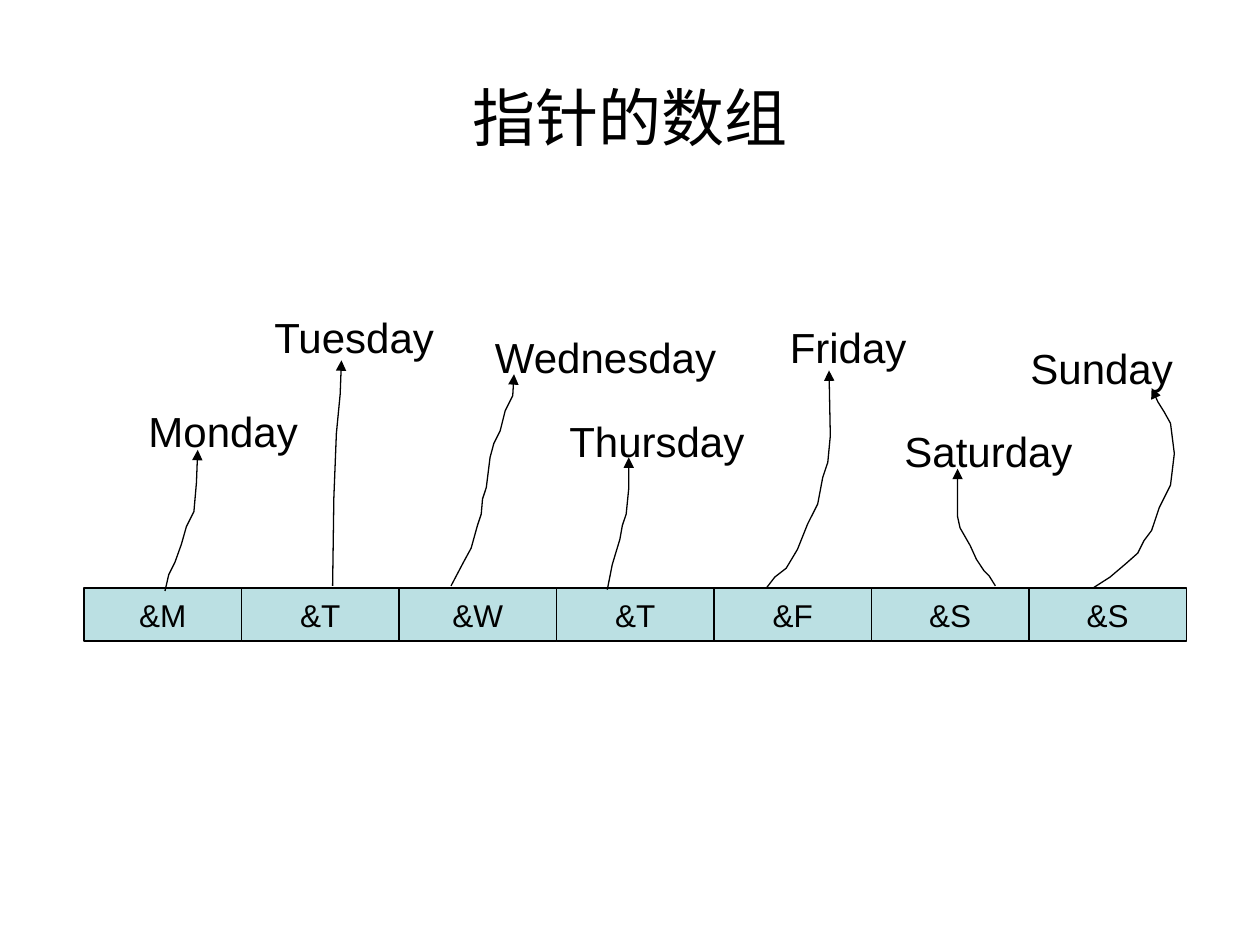
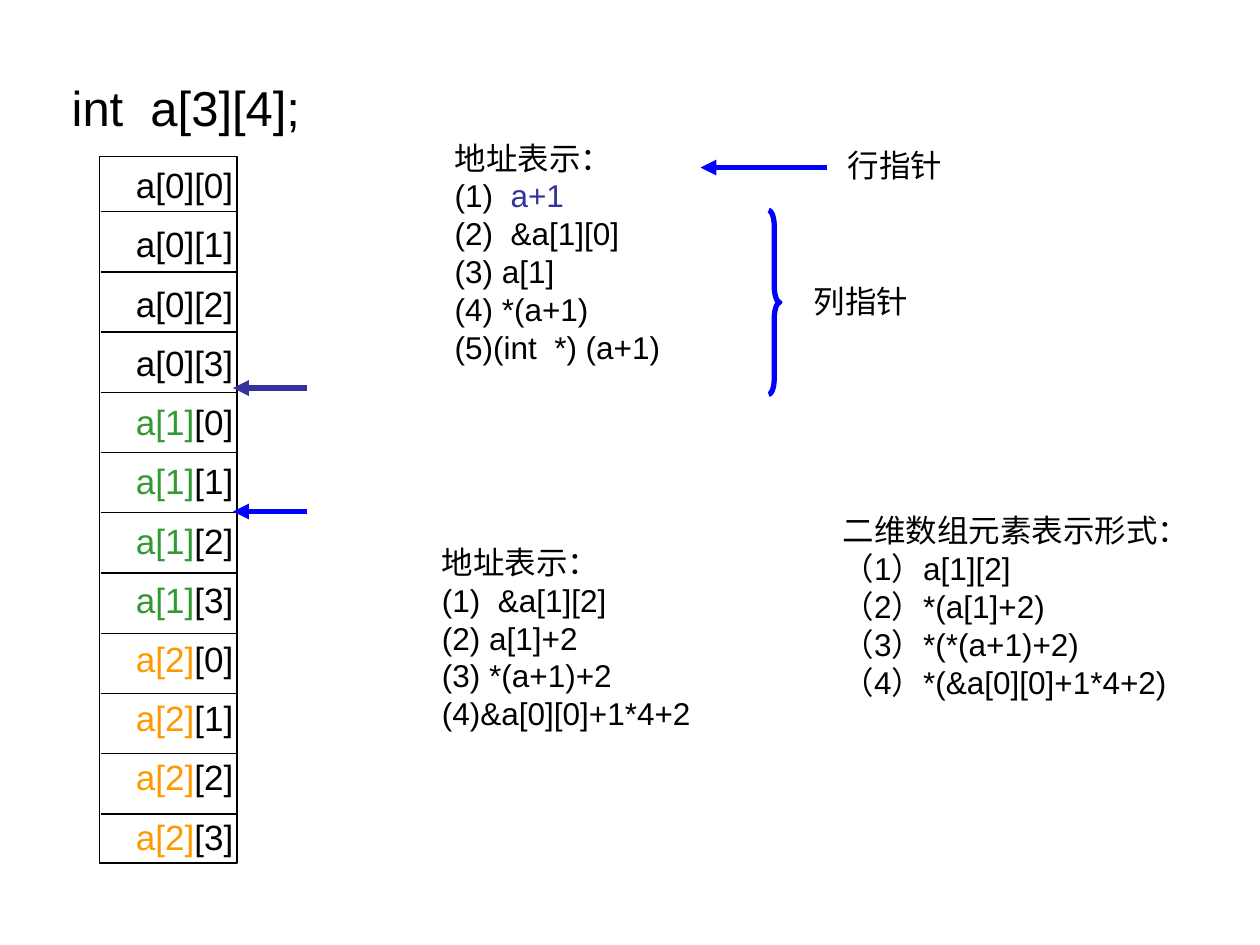
from dataclasses import dataclass

from pptx import Presentation
from pptx.dml.color import RGBColor
from pptx.enum import shapes, text
from pptx.oxml.ns import qn
from pptx.util import Inches, Pt


@dataclass(frozen=True)
class Theme:
    font: str = "Arial"
    black: str = "000000"
    cell: str = "BBE0E3"
    indigo: str = "333399"
    blue: str = "0000FF"
    green: str = "339933"
    orange: str = "FF9900"
    title: int = 36
    declaration: int = 28
    day: int = 24
    element: int = 20
    body: int = 18
    thin: float = 0.75
    thick: float = 3


THEME = Theme()

# pointer text, day, label position, points of the arrow from cell to label
DAYS = [
    ("&M", "Monday", (1.08, 3.17, 1.5),
     [(1.31, 4.69), (1.34, 4.56), (1.39, 4.46), (1.44, 4.32), (1.48, 4.18),
      (1.54, 4.06), (1.56, 3.83), (1.57, 3.57)]),
    ("&T", "Tuesday", (2.08, 2.42, 1.5),
     [(2.64, 4.65), (2.65, 3.95), (2.67, 3.44), (2.7, 3.13), (2.71, 2.86)]),
    ("&W", "Wednesday", (3.83, 2.58, 2.08),
     [(3.58, 4.65), (3.68, 4.46), (3.74, 4.35), (3.79, 4.17), (3.82, 4.08),
      (3.83, 3.96), (3.86, 3.87), (3.89, 3.63), (3.92, 3.52), (3.97, 3.42),
      (4.01, 3.26), (4.07, 3.14), (4.08, 2.97)]),
    ("&T", "Thursday", (4.42, 3.25, 1.83),
     [(4.82, 4.68), (4.86, 4.48), (4.92, 4.28), (4.94, 4.17), (4.97, 4.08),
      (4.99, 3.88), (4.99, 3.63)]),
    ("&F", "Friday", (6.17, 2.5, 1.5),
     [(6.08, 4.67), (6.15, 4.58), (6.24, 4.51), (6.33, 4.36), (6.41, 4.16),
      (6.49, 4.0), (6.53, 3.79), (6.57, 3.67), (6.59, 3.46), (6.58, 2.94)]),
    ("&S", "Saturday", (7.08, 3.33, 1.83),
     [(7.9, 4.65), (7.85, 4.57), (7.81, 4.53), (7.75, 4.44), (7.7, 4.33),
      (7.62, 4.19), (7.6, 4.1), (7.6, 3.72)]),
    ("&S", "Sunday", (8.08, 2.67, 1.5),
     [(8.67, 4.67), (8.81, 4.58), (8.94, 4.47), (9.03, 4.39), (9.08, 4.29),
      (9.14, 4.21), (9.2, 4.03), (9.29, 3.85), (9.32, 3.6), (9.29, 3.36),
      (9.24, 3.27), (9.19, 3.19), (9.14, 3.08)]),
]


def write(shape, paragraphs, size=THEME.body, align=text.PP_ALIGN.LEFT,
          anchor=text.MSO_ANCHOR.TOP, wrap=False, before=0):
    """Fill a shape; a paragraph is a string or a list of (words, colour)."""
    frame = shape.text_frame
    frame.word_wrap = wrap
    frame.vertical_anchor = anchor
    for index, content in enumerate(paragraphs):
        para = frame.add_paragraph() if index else frame.paragraphs[0]
        para.alignment = align
        para.space_before = Pt(before)
        spans = [(content, THEME.black)] if isinstance(content, str) else content
        for words, colour in spans:
            span = para.add_run()
            span.text = words
            span.font.name = THEME.font
            span.font.size = Pt(size)
            span.font.color.rgb = RGBColor.from_string(colour)


def add_text(page, place, *paragraphs, grow=True, **style):
    box = page.shapes.add_textbox(*map(Inches, place))
    write(box, paragraphs, **style)
    if grow:
        box.text_frame.auto_size = text.MSO_AUTO_SIZE.SHAPE_TO_FIT_TEXT


def draw_line(shape, colour=THEME.black, width=THEME.thin, arrow=False):
    shape.line.color.rgb = RGBColor.from_string(colour)
    shape.line.width = Pt(width)
    if arrow:
        outline = shape.line._get_or_add_ln()
        tail = outline.makeelement(qn("a:tailEnd"), {"type": "triangle"})
        outline.append(tail)


def add_preset(page, kind, place, fill=None, **line):
    shape = page.shapes.add_shape(kind, *map(Inches, place))
    shape.shadow.inherit = False
    if fill:
        shape.fill.solid()
        shape.fill.fore_color.rgb = RGBColor.from_string(fill)
    else:
        shape.fill.background()
    draw_line(shape, **line)
    return shape


def add_straight(page, start, end, **line):
    connector = page.shapes.add_connector(
        shapes.MSO_CONNECTOR.STRAIGHT, *map(Inches, (*start, *end)))
    draw_line(connector, **line)
    properties = connector._element.spPr
    properties.append(properties.makeelement(qn("a:effectLst"), {}))


def add_curved_arrow(page, points):
    start, *rest = [(Inches(x), Inches(y)) for x, y in points]
    builder = page.shapes.build_freeform(*start)
    builder.add_line_segments(rest, close=False)
    curve = builder.convert_to_shape()
    curve.shadow.inherit = False
    curve.fill.background()
    draw_line(curve, arrow=True)


def build_pointer_array(page):
    add_text(page, (0.5, 0.3, 9, 1.25), "指针的数组", size=THEME.title,
             align=text.PP_ALIGN.CENTER, anchor=text.MSO_ANCHOR.MIDDLE,
             wrap=True, grow=False)
    array_left, array_top, cell_width = 2 / 3, 14 / 3, 1.25
    for index, (pointer, day, (left, top, width), points) in enumerate(DAYS):
        cell = add_preset(page, shapes.MSO_SHAPE.RECTANGLE,
                          (array_left + index * cell_width, array_top,
                           cell_width, 0.42), fill=THEME.cell)
        write(cell, [pointer], align=text.PP_ALIGN.CENTER,
              anchor=text.MSO_ANCHOR.MIDDLE)
        add_text(page, (left, top, width, 0.5), day, size=THEME.day,
                 wrap=True, before=15)
        add_curved_arrow(page, points)


def add_memory_column(page, rows=3, columns=4):
    add_preset(page, shapes.MSO_SHAPE.RECTANGLE, (0.79, 1.24, 1.09, 5.61))
    row_colours = (THEME.black, THEME.green, THEME.orange)
    first_rule, last_rule = 1.68, 6.46
    count = rows * columns
    rule_gap = (last_rule - first_rule) / (count - 2)
    for index in range(count):
        row, column = divmod(index, columns)
        add_text(page, (0.98, 1.25 + index * 0.47, 1.05, 0.44),
                 [(f"a[{row}]", row_colours[row]), (f"[{column}]", THEME.black)],
                 size=THEME.element)
        if index < count - 1:
            y = first_rule + index * rule_gap
            add_straight(page, (0.8, y), (1.89, y))


def build_address_forms(page):
    add_text(page, (0.47, 0.57, 2.05, 0.57), "int  a[3][4];",
             size=THEME.declaration)
    add_memory_column(page)

    for start, end, colour in [((2.44, 3.08), (1.85, 3.08), THEME.indigo),
                               ((2.44, 4.06), (1.85, 4.06), THEME.blue),
                               ((6.56, 1.33), (5.56, 1.33), THEME.blue)]:
        add_straight(page, start, end, colour=colour, width=THEME.thick,
                     arrow=True)
    brace = add_preset(page, shapes.MSO_SHAPE.RIGHT_BRACE,
                       (6.1, 1.67, 0.09, 1.46),
                       colour=THEME.blue, width=THEME.thick)
    brace.adjustments[0] = 1.4

    middle = text.MSO_ANCHOR.MIDDLE
    add_text(page, (3.51, 1.05, 1.9, 1.9), "地址表示：",
             [("(1)  ", THEME.black), ("a+1", THEME.indigo)],
             "(2)  &a[1][0]", "(3) a[1]", "(4) *(a+1)", "(5)(int  *) (a+1)",
             anchor=middle)
    add_text(page, (3.41, 4.26, 2.3, 1.6), "地址表示：", "(1)  &a[1][2]",
             "(2) a[1]+2", "(3) *(a+1)+2", "(4)&a[0][0]+1*4+2", anchor=middle)
    add_text(page, (6.59, 4.01, 3, 1.6), "二维数组元素表示形式：",
             "（1）a[1][2]", "（2）*(a[1]+2)", "（3）*(*(a+1)+2)",
             "（4）*(&a[0][0]+1*4+2)")
    for left, top, label in [(6.63, 1.11, "行指针"), (6.36, 2.19, "列指针")]:
        add_text(page, (left, top, 0.95, 0.4), label,
                 align=text.PP_ALIGN.CENTER, anchor=middle)


def main():
    deck = Presentation()
    deck.slide_width, deck.slide_height = Inches(10), Inches(7.5)
    blank = deck.slide_layouts[6]
    for build in (build_pointer_array, build_address_forms):
        build(deck.slides.add_slide(blank))
    deck.save("out.pptx")


if __name__ == "__main__":
    main()
